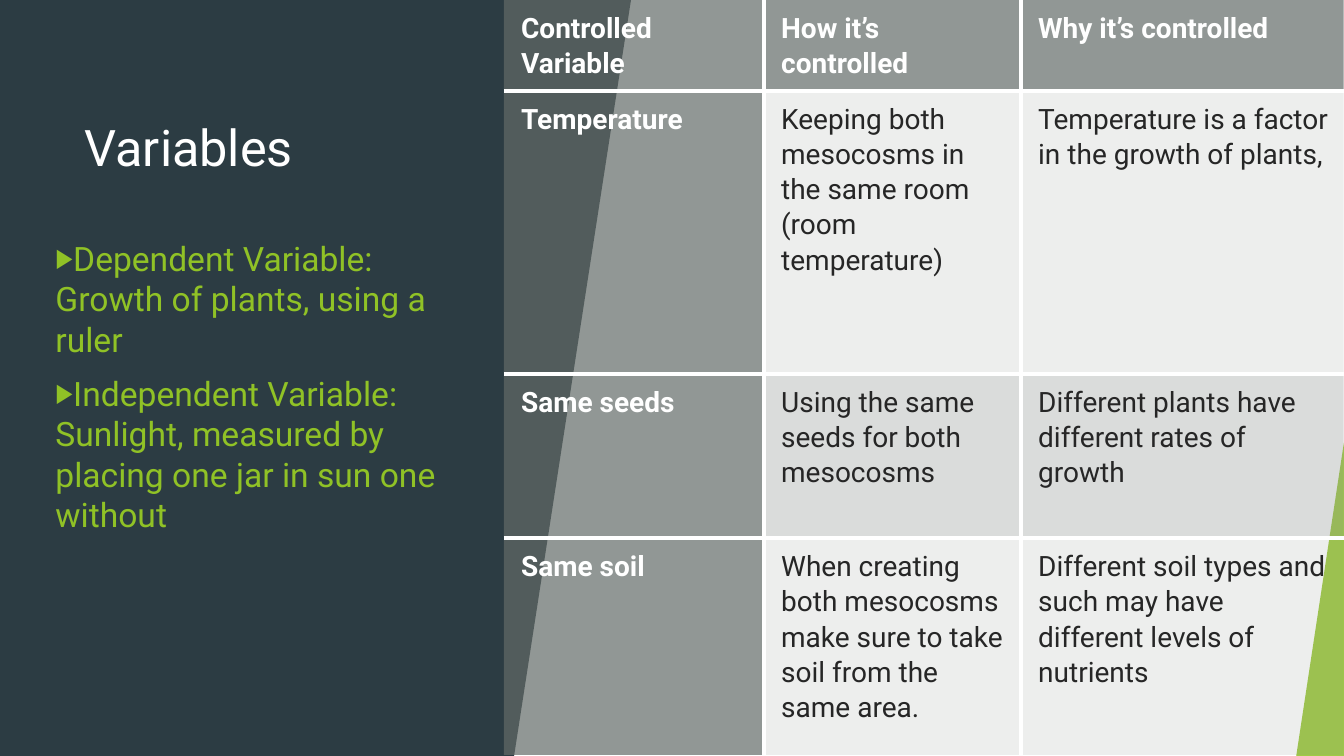
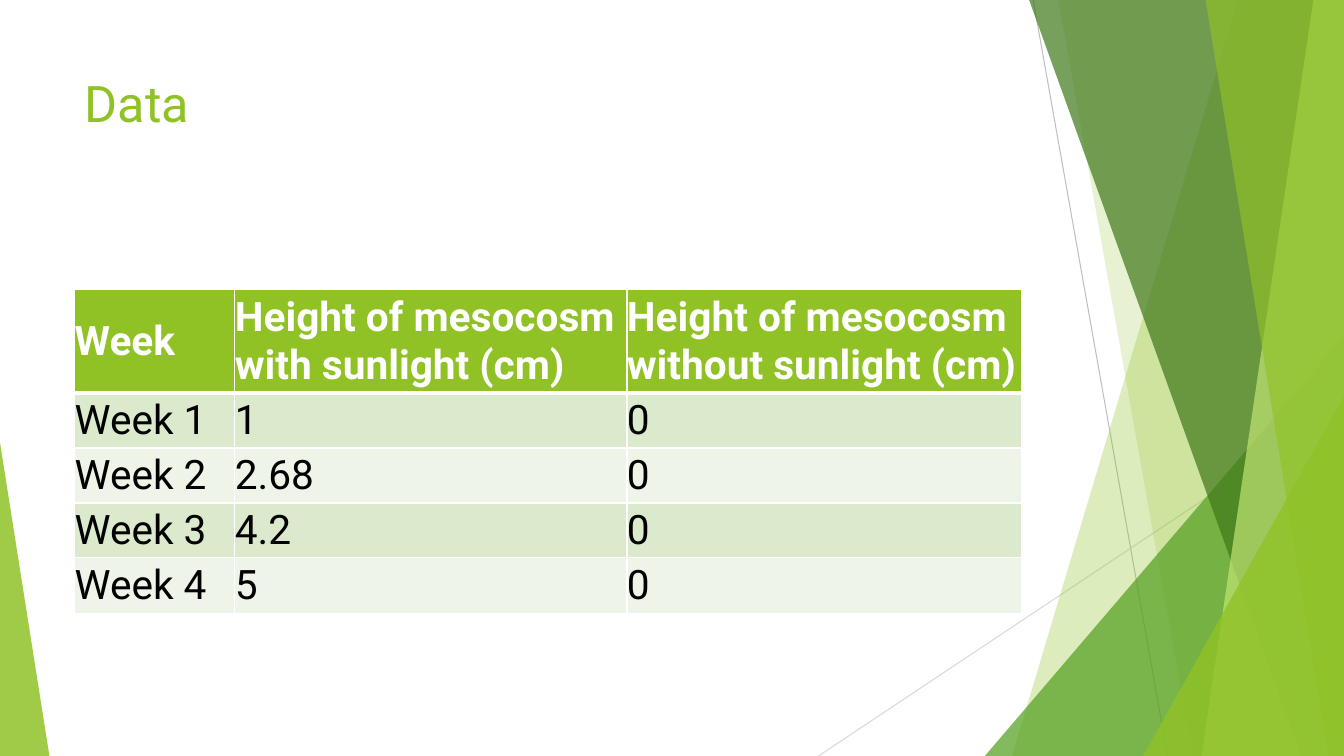
"""Build two slides on the variables and data of a plant growth test."""
import dataclasses
import typing

import lxml.etree
import pptx
import pptx.dml.color
import pptx.enum.shapes
import pptx.enum.text
import pptx.oxml.ns
import pptx.util

RGB = pptx.dml.color.RGBColor
QN = pptx.oxml.ns.qn
ANCHOR = pptx.enum.text.MSO_ANCHOR
SHAPE = pptx.enum.shapes.MSO_SHAPE

WHITE = RGB(0xFF, 0xFF, 0xFF)
BLACK = RGB(0x00, 0x00, 0x00)
INK = RGB(0x26, 0x26, 0x26)
NAVY = RGB(0x2C, 0x3C, 0x43)
GREEN = RGB(0x90, 0xC2, 0x26)
LEAF = RGB(0x54, 0xA0, 0x21)
MOSS = RGB(0x3F, 0x78, 0x19)
LIME = RGB(0xC0, 0xE4, 0x74)
SLATE = RGB(0x63, 0x6B, 0x68)
STONE = RGB(0x87, 0x8E, 0x8B)
SAGE = RGB(0xDB, 0xE9, 0xCD)
MIST = RGB(0xEE, 0xF4, 0xE8)
SILVER = RGB(0xBF, 0xBF, 0xBF)
PALE = RGB(0xD9, 0xD9, 0xD9)

FONT = "Roboto"
COLS, ROWS = 80, 45
UNIT = 152400
PLAIN = "{2D5ABB26-0587-4C30-8999-92F81FD0307C}"


class Box(typing.NamedTuple):
    """A place on the grid, in columns and rows."""
    left: float
    top: float
    width: float
    height: float


@dataclasses.dataclass(frozen=True)
class Line:
    """A thin line between two grid points."""
    start: tuple[float, float]
    end: tuple[float, float]
    color: RGB


@dataclasses.dataclass(frozen=True)
class Facet:
    """A full-height band from a slanted edge to the right side."""
    top: float
    foot: float
    color: RGB
    alpha: int


@dataclasses.dataclass(frozen=True)
class Block:
    """A preset shape; peak is where a triangle has its tip."""
    box: Box
    color: RGB
    alpha: int = 100
    peak: float | None = None
    turn: int = 0


@dataclasses.dataclass(frozen=True)
class Look:
    """The fill and text colour of a cell."""
    fill: RGB
    alpha: int
    ink: RGB
    bold: bool = False


@dataclasses.dataclass(frozen=True)
class Grid:
    """A table's place, sizes and text style."""
    left: float
    top: float
    cols: list[float]
    rows: list[float]
    size: float
    lead: float
    inset: tuple[float, float, float, float]
    anchor: ANCHOR
    pen: float
    head: float


ART = [
    Line((61.5, 0), (69.5, ROWS), SILVER),
    Line((COLS, 24.18), (48.72, ROWS), PALE),
    Facet(73.68, 60.24, GREEN, 30),
    Facet(63, 71, GREEN, 20),
    Block(Box(58.62, 20, 21.38, 25), LEAF, 72, 1),
    Facet(61.26, 77.46, MOSS, 70),
    Facet(78.18, 71.52, LIME, 70),
    Facet(71.76, 79.08, GREEN, 65),
    Block(Box(68.04, 23.6, 11.96, 21.4), GREEN, 80, 1),
    Block(Box(0, 26.34, 2.94, 18.66), GREEN, 85, 0),
]
PANELS = [
    Block(Box(0, 0, COLS, ROWS), WHITE),
    Block(Box(0, 0, 30.6, ROWS), NAVY),
    Block(Box(30.6, 0, 6.96, ROWS), NAVY, peak=1, turn=180),
    Block(Box(77.16, 26.34, 2.84, 18.66), GREEN, 85, 1),
]

POINTS = [
    "Dependent Variable: Growth of plants, using a ruler",
    "Independent Variable: Sunlight, measured by placing one jar in sun one without",
]
CONTROLS = [
    ["Controlled Variable", "How it’s controlled ", "Why it’s controlled"],
    ["Temperature", "Keeping both mesocosms in the same room (room temperature)",
     "Temperature is a factor in the growth of plants,"],
    ["Same seeds", "Using the same seeds for both mesocosms",
     "Different plants have different rates of growth"],
    ["Same soil", "When creating both mesocosms make sure to take soil from the same area.",
     "Different soil types and such may have different levels of nutrients"],
]
HEIGHTS = [
    ["Week", "Height of mesocosm with sunlight (cm)", "Height of mesocosm without sunlight (cm)"],
    ["Week 1", "1", "0"],
    ["Week 2", "2.68", "0"],
    ["Week 3", "4.2", "0"],
    ["Week 4", "5", "0"],
]


def emu(size: float) -> pptx.util.Emu:
    """Turn grid units into slide lengths."""
    return pptx.util.Emu(round(size * UNIT))


def place(shape, box: Box) -> None:
    """Move a shape to a box on the grid."""
    shape.left, shape.top, shape.width, shape.height = map(emu, box)


def tint(node, color: RGB, alpha: int, fill) -> None:
    """Fill a shape or cell with a colour of some opacity."""
    fill.solid()
    fill.fore_color.rgb = color
    if alpha < 100:
        tone = node.find(".//" + QN("a:solidFill") + "/" + QN("a:srgbClr"))
        lxml.etree.SubElement(tone, QN("a:alpha"), val=str(alpha * 1000))


def put(para, text: str, *, size: float, color: RGB, bold: bool = False,
        lead: float | None = None, gap: float = 0, mark: str = "") -> None:
    """Write formatted text in a paragraph."""
    if mark:
        props = para._p.get_or_add_pPr()
        props.set("marL", "0")
        props.set("indent", "0")
        hue = lxml.etree.SubElement(props, QN("a:buClr"))
        lxml.etree.SubElement(hue, QN("a:srgbClr"), val=str(color))
        lxml.etree.SubElement(props, QN("a:buSzPct"), val="80000")
        lxml.etree.SubElement(props, QN("a:buChar"), char=mark)
    para.alignment = pptx.enum.text.PP_ALIGN.LEFT
    para.space_before = pptx.util.Pt(gap)
    if lead:
        para.line_spacing = lead
    run = para.add_run()
    run.text = text
    font = run.font
    font.name, font.size, font.bold = FONT, pptx.util.Pt(size), bold
    font.color.rgb = color


def draw(slide, item: Line | Facet | Block):
    """Draw one line, facet or block."""
    if isinstance(item, Line):
        kind = pptx.enum.shapes.MSO_CONNECTOR.STRAIGHT
        line = slide.shapes.add_connector(kind, *map(emu, item.start + item.end))
        line.line.color.rgb = item.color
        line.line.width = pptx.util.Pt(0.75)
        lxml.etree.SubElement(line.element.spPr, QN("a:effectLst"))
        return line
    if isinstance(item, Facet):
        pen = slide.shapes.build_freeform(emu(item.top), 0, scale=1.0)
        ends = [(COLS, 0), (COLS, ROWS), (item.foot, ROWS)]
        pen.add_line_segments([(emu(x), emu(y)) for x, y in ends], close=True)
        shape = pen.convert_to_shape()
    else:
        kind = SHAPE.RECTANGLE if item.peak is None else SHAPE.ISOSCELES_TRIANGLE
        shape = slide.shapes.add_shape(kind, *map(emu, item.box))
        if item.peak is not None:
            shape.adjustments[0] = item.peak
        shape.rotation = item.turn
    tint(shape.element, item.color, item.alpha, shape.fill)
    shape.line.fill.background()
    shape.shadow.inherit = False
    return shape


def share(deck, slide) -> None:
    """Draw the art once and keep it on the slide master."""
    tree = deck.slide_master.shapes.element
    for spot, item in enumerate(ART):
        node = draw(slide, item).element
        node.find(".//" + QN("p:cNvPr")).set("id", str(100 + spot))
        tree.insert(2 + spot, node)


def title(slide, text: str, box: Box, color: RGB, anchor: ANCHOR) -> None:
    """Fill the title placeholder."""
    head = slide.shapes.title
    place(head, box)
    frame = head.text_frame
    frame.auto_size = pptx.enum.text.MSO_AUTO_SIZE.NONE
    frame.vertical_anchor = anchor
    put(frame.paragraphs[0], text, size=36, color=color)


def points(body, texts: list[str], box: Box) -> None:
    """Fill the body placeholder with marked points."""
    place(body, box)
    frame = body.text_frame
    frame.auto_size = pptx.enum.text.MSO_AUTO_SIZE.NONE
    for spot, text in enumerate(texts):
        para = frame.add_paragraph() if spot else frame.paragraphs[0]
        put(para, text, size=24, color=GREEN, gap=10 if spot else 0, mark="▶")


def rule(props, sides: dict[str, float]) -> None:
    """Put white borders on the given sides of a cell."""
    for spot, (side, width) in enumerate(sides.items()):
        line = lxml.etree.Element(QN("a:ln" + side), w=str(pptx.util.Pt(width)))
        fill = lxml.etree.SubElement(line, QN("a:solidFill"))
        lxml.etree.SubElement(fill, QN("a:srgbClr"), val=str(WHITE))
        props.insert(spot, line)


def table(slide, grid: Grid, texts: list[list[str]],
          style: typing.Callable[[int, int], Look]) -> None:
    """Add a table with white inner borders."""
    box = Box(grid.left, grid.top, sum(grid.cols), sum(grid.rows))
    frame = slide.shapes.add_table(len(grid.rows), len(grid.cols), *map(emu, box))
    frame.element.find(".//" + QN("a:tableStyleId")).text = PLAIN
    tab = frame.table
    tab.first_row = tab.horz_banding = False
    for col, width in zip(tab.columns, grid.cols):
        col.width = emu(width)
    for row, height in zip(tab.rows, grid.rows):
        row.height = emu(height)
    nodes = frame.element.iter(QN("a:tc"))
    for spot, (cell, node) in enumerate(zip(tab.iter_cells(), nodes)):
        row, col = divmod(spot, len(grid.cols))
        look = style(row, col)
        (cell.margin_left, cell.margin_top,
         cell.margin_right, cell.margin_bottom) = map(emu, grid.inset)
        cell.vertical_anchor = grid.anchor
        props = node.find(QN("a:tcPr"))
        tint(props, look.fill, look.alpha, cell.fill)
        sides = {}
        if col:
            sides["L"] = grid.pen
        if col < len(grid.cols) - 1:
            sides["R"] = grid.pen
        if row:
            sides["T"] = grid.head if row == 1 else grid.pen
        if row < len(grid.rows) - 1:
            sides["B"] = grid.pen if row else grid.head
        rule(props, sides)
        put(cell.text_frame.paragraphs[0], texts[row][col], size=grid.size,
            color=look.ink, bold=look.bold, lead=grid.lead)


def gray(row: int, col: int) -> Look:
    """Style the table of controls."""
    if row == 0 or col == 0:
        return Look(SLATE, 70, WHITE, True)
    return Look(STONE, 15 if row % 2 else 30, INK)


def green(row: int, col: int) -> Look:
    """Style the table of heights."""
    if row == 0:
        return Look(GREEN, 100, WHITE, True)
    return Look(SAGE if row % 2 else MIST, 100, BLACK)


def main() -> None:
    """Build and save the deck."""
    deck = pptx.Presentation()
    deck.slide_width, deck.slide_height = emu(COLS), emu(ROWS)

    first = deck.slides.add_slide(deck.slide_layouts[1])
    share(deck, first)
    held = list(first.placeholders)
    for item in PANELS:
        draw(first, item)
    for holder in held:
        first.shapes.element.append(holder.element)
    title(first, "Variables", Box(4.44, 4.2, 27.6, 9), WHITE, ANCHOR.MIDDLE)
    points(first.placeholders[1], POINTS, Box(2.7, 13.86, 26.1, 22.56))
    table(first, Grid(30, 0, [15.48, 15.3, 19.2], [5.4, 16.86, 9.78, 12.9], 20, 1.07,
                      (1.02, 0.6, 0.6, 0.6), ANCHOR.TOP, 3, 3), CONTROLS, gray)

    second = deck.slides.add_slide(deck.slide_layouts[5])
    title(second, "Data", Box(4.44, 4, 56.4, 8.64), GREEN, ANCHOR.TOP)
    table(second, Grid(4.44, 17.28, [9.54, 23.34, 23.46], [6.12] + [3.27] * 4, 29, 1,
                       (0, 0, 0, 0), ANCHOR.MIDDLE, 1, 3), HEIGHTS, green)
    deck.save("out.pptx")


if __name__ == "__main__":
    main()
